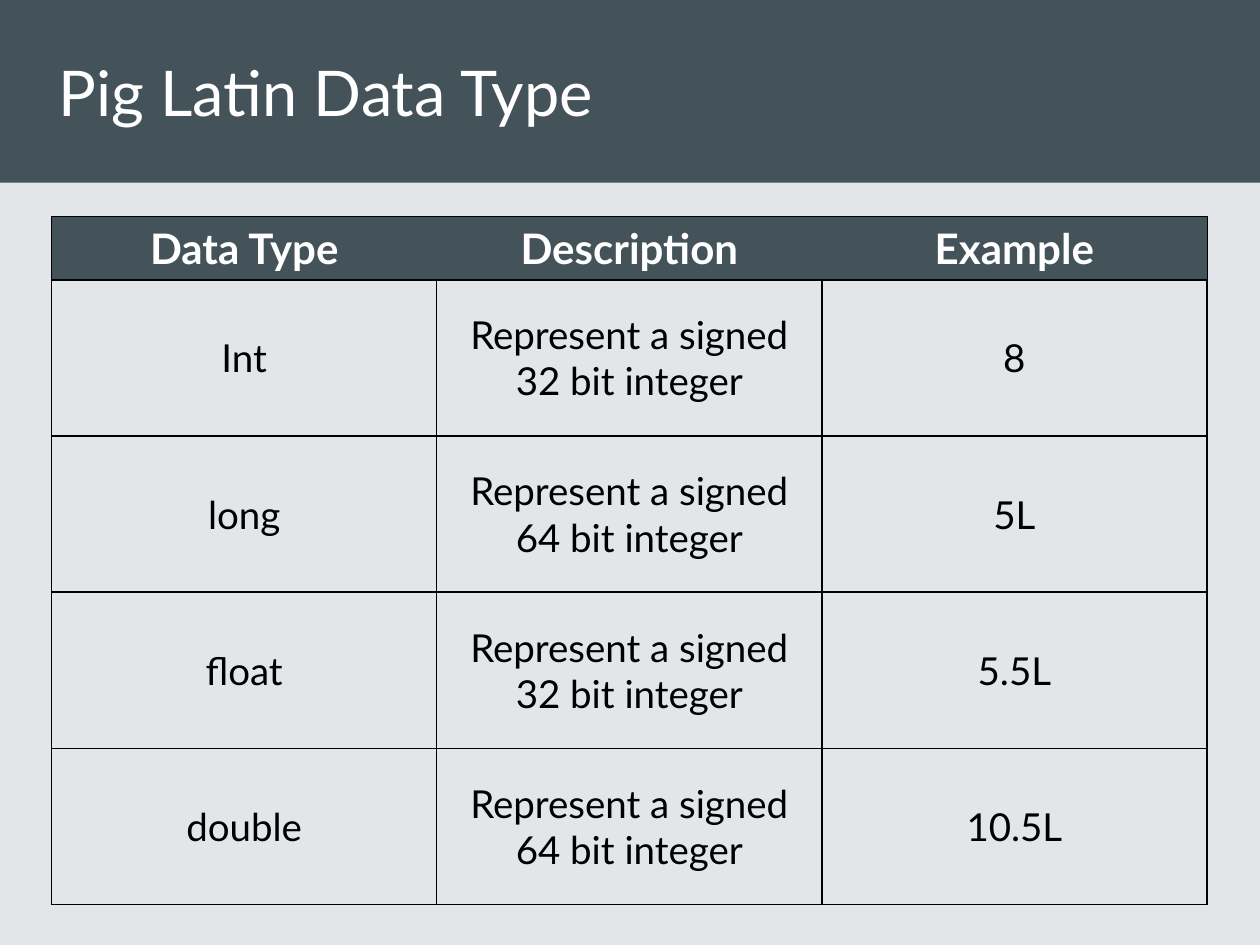
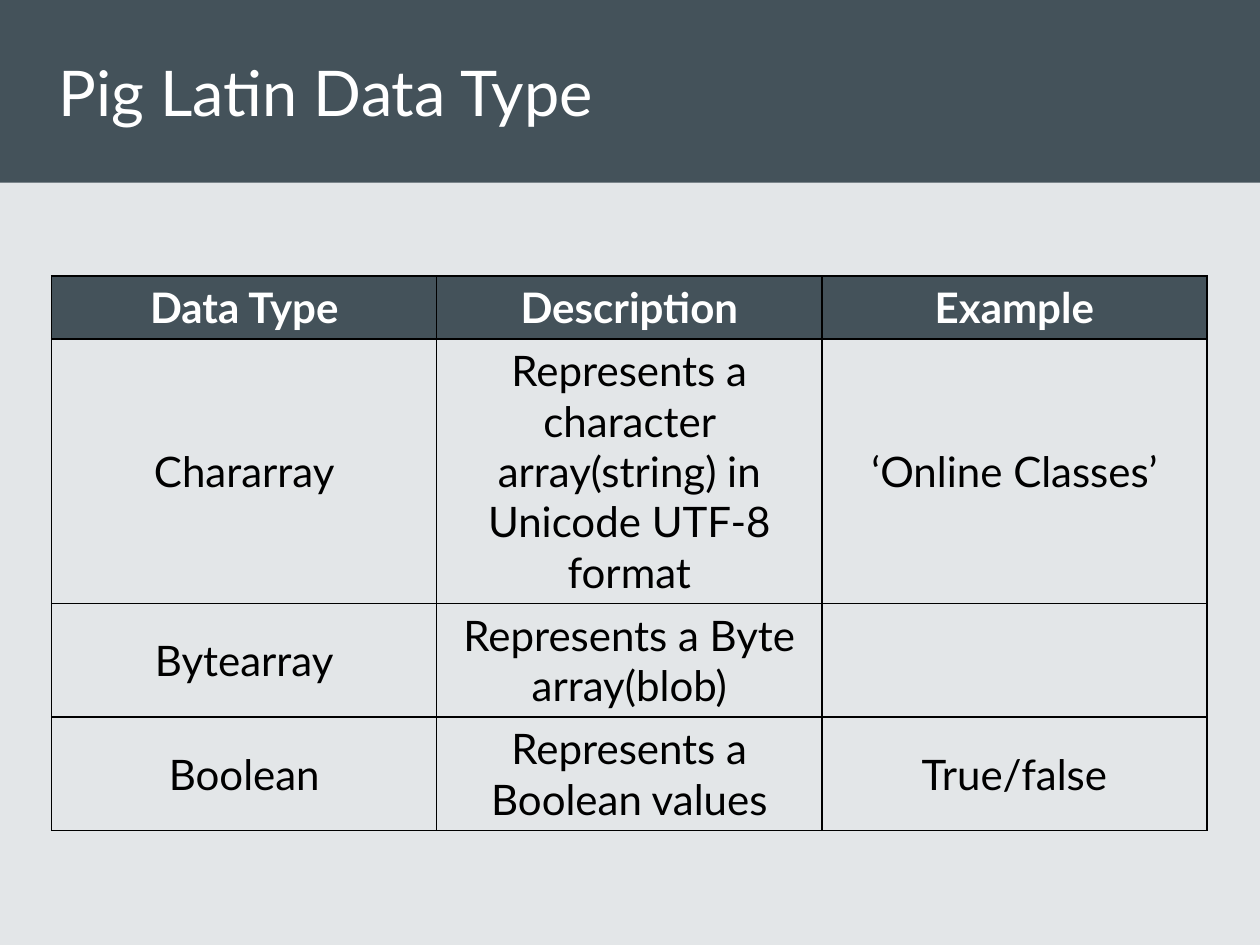
from lxml import etree
from pptx import Presentation
from pptx.dml.color import RGBColor
from pptx.enum import shapes, text
from pptx.oxml.ns import qn
from pptx.util import Inches, Pt

TITLE = "Pig Latin Data Type"
HEADINGS = ("Data Type", "Description", "Example")

NUMBER_TYPES = [
    ("Int", "Represent a signed 32 bit integer", "8"),
    ("long", "Represent a signed 64 bit integer", "5L"),
    ("float", "Represent a signed 32 bit integer", "5.5L"),
    ("double", "Represent a signed 64 bit integer", "10.5L"),
]
OTHER_TYPES = [
    ("Chararray", "Represents a character array(string) in Unicode UTF-8 format",
     "‘Online Classes’"),
    ("Bytearray", "Represents a Byte array(blob)", ""),
    ("Boolean", "Represents a Boolean values", "True/false"),
]

# Border widths in points, by side; 0 means no line
GRID = {"L": 1, "R": 1, "T": 1, "B": 1}
OPEN_HEADER = [
    {"L": 0.5, "R": 0, "T": 0.5, "B": 1},
    {"L": 0, "R": 0, "T": 0.5, "B": 1},
    {"L": 0, "R": 0.5, "T": 0.5, "B": 1},
]

SLIDES = [
    {"types": NUMBER_TYPES, "top": 1.72, "header_height": 0.48, "row_height": 1.24,
     "body_size": 22, "header_borders": OPEN_HEADER},
    {"types": OTHER_TYPES, "top": 2.19, "header_height": 0.41, "row_height": 0.41,
     "body_size": 24, "header_borders": [GRID] * 3},
]

FONT = "Lato"
SLATE = RGBColor(0x44, 0x52, 0x5A)
PALE = RGBColor(0xE3, 0xE6, 0xE8)
WHITE = RGBColor(0xFF, 0xFF, 0xFF)
BLACK = RGBColor(0, 0, 0)

SLIDE_WIDTH, SLIDE_HEIGHT = 10, 7.5
BAND_HEIGHT = 1.45
TABLE_LEFT, TABLE_WIDTH = 0.41, 9.17
TITLE_LEFT = 0.37
HEADER_SIZE, TITLE_SIZE = 24, 36


def add_run(paragraph, words, size, color, bold=False):
    run = paragraph.add_run()
    run.text = words
    run.font.name = FONT
    run.font.size = Pt(size)
    run.font.bold = bold
    run.font.color.rgb = color


def set_borders(cell, widths):
    properties = cell._tc.get_or_add_tcPr()
    for side, width in widths.items():
        line = etree.SubElement(properties, qn(f"a:ln{side}"), w=str(Pt(width)))
        if width:
            fill = etree.SubElement(line, qn("a:solidFill"))
            etree.SubElement(fill, qn("a:srgbClr"), val=str(BLACK))
        else:
            etree.SubElement(line, qn("a:noFill"))


def fill_cell(cell, words, size, color, bold, borders, fill):
    set_borders(cell, borders)
    if fill is None:
        cell.fill.background()
    else:
        cell.fill.solid()
        cell.fill.fore_color.rgb = fill
    cell.vertical_anchor = text.MSO_ANCHOR.MIDDLE
    if words:
        paragraph = cell.text_frame.paragraphs[0]
        paragraph.alignment = text.PP_ALIGN.CENTER
        add_run(paragraph, words, size, color, bold)


def add_title_band(slide):
    slide.background.fill.solid()
    slide.background.fill.fore_color.rgb = PALE

    band = slide.shapes.add_shape(shapes.MSO_SHAPE.RECTANGLE, 0, 0,
                                  Inches(SLIDE_WIDTH), Inches(BAND_HEIGHT))
    band.shadow.inherit = False
    band.fill.solid()
    band.fill.fore_color.rgb = SLATE
    band.line.fill.background()

    title = slide.shapes.add_textbox(Inches(TITLE_LEFT), 0,
                                     Inches(TABLE_WIDTH), Inches(BAND_HEIGHT))
    title.text_frame.word_wrap = True
    title.text_frame.vertical_anchor = text.MSO_ANCHOR.MIDDLE
    add_run(title.text_frame.paragraphs[0], TITLE, TITLE_SIZE, WHITE)


def add_type_table(slide, types, top, header_height, row_height, body_size,
                   header_borders):
    height = header_height + row_height * len(types)
    table = slide.shapes.add_table(
        len(types) + 1, len(HEADINGS), Inches(TABLE_LEFT), Inches(top),
        Inches(TABLE_WIDTH), Inches(height)).table
    table.first_row = False
    table.horz_banding = False
    for row in table.rows:
        row.height = Inches(row_height)
    table.rows[0].height = Inches(header_height)

    for column, heading in enumerate(HEADINGS):
        fill_cell(table.cell(0, column), heading, HEADER_SIZE, WHITE, True,
                  header_borders[column], SLATE)
    for row, entry in enumerate(types, start=1):
        for column, words in enumerate(entry):
            fill_cell(table.cell(row, column), words, body_size, BLACK, False,
                      GRID, None)


def main():
    deck = Presentation()
    deck.slide_width = Inches(SLIDE_WIDTH)
    deck.slide_height = Inches(SLIDE_HEIGHT)
    blank = deck.slide_layouts[6]
    for content in SLIDES:
        slide = deck.slides.add_slide(blank)
        add_title_band(slide)
        add_type_table(slide, **content)
    deck.save("out.pptx")


if __name__ == "__main__":
    main()
